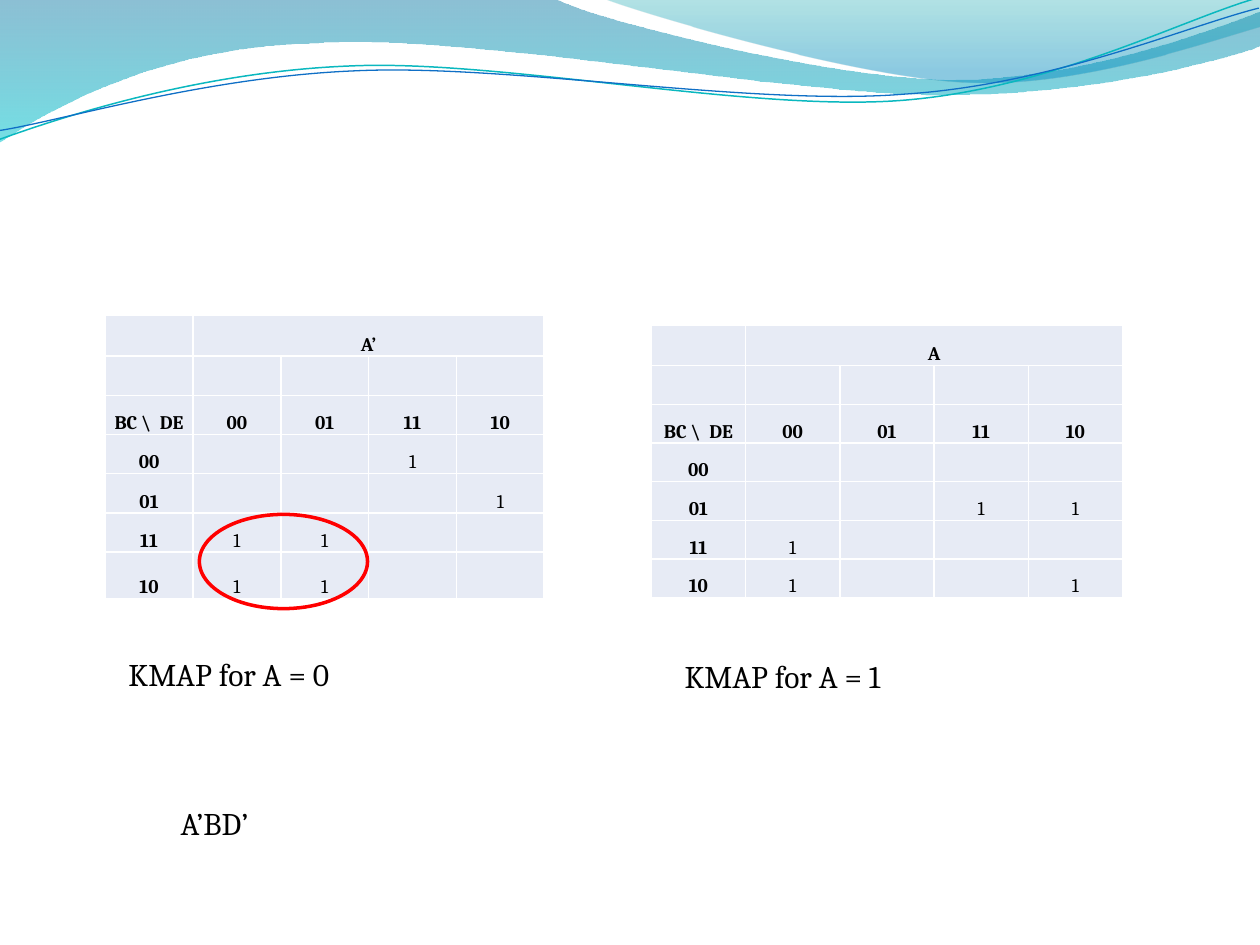
from dataclasses import dataclass

from lxml import etree
from pptx import Presentation
from pptx.dml.color import RGBColor
from pptx.enum.shapes import MSO_SHAPE
from pptx.enum.text import MSO_ANCHOR, MSO_AUTO_SIZE, PP_ALIGN
from pptx.oxml.ns import qn
from pptx.util import Cm, Pt

ELLIPSE = MSO_SHAPE.OVAL
BOTTOM = MSO_ANCHOR.BOTTOM
GROW = MSO_AUTO_SIZE.SHAPE_TO_FIT_TEXT
CENTER = PP_ALIGN.CENTER


@dataclass(frozen=True)
class Theme:
    font: str = "Cambria"
    cell_size: float = 11
    label_size: float = 18
    text: str = "000000"
    cell_fill: str = "E7EBF5"
    border: str = "FFFFFF"
    ring: str = "FF0000"
    teal_line: str = "0AB8BF"
    blue_line: str = "0F6FC6"
    # Gradient stops: position, colour, opacity in percent
    wide_wave: tuple = ((0, "0074A1", 45), (1, "00C6CF", 55))
    right_wave: tuple = ((0, "00A1A9", 30), (0.8, "008BBF", 45))


THEME = Theme()


def style_text(para, size, bold=False):
    para.font.name = THEME.font
    para.font.size = Pt(size)
    para.font.bold = bold
    para.font.color.rgb = RGBColor.from_string(THEME.text)


def add_wave(page, start, segments, closed):
    """Draw line (1 point) and cubic curve (3 points) segments, in tenths of the slide width."""
    unit = Cm(2.54)
    points = [(x * unit, y * unit) for segment in segments for x, y in segment]
    builder = page.shapes.build_freeform(start[0] * unit, start[1] * unit)
    builder.add_line_segments(points, close=closed)
    wave = builder.convert_to_shape()
    wave.shadow.inherit = False
    # Gather the three points of each curve into one cubic segment
    lines = iter(list(wave._element.iter(qn("a:lnTo"))))
    for segment in segments:
        first = next(lines)
        if len(segment) == 3:
            first.tag = qn("a:cubicBezTo")
            for _ in range(2):
                line = next(lines)
                first.append(line[0])
                line.getparent().remove(line)
    return wave


deck = Presentation()
deck.slide_width, deck.slide_height = Cm(25.4), Cm(19.05)
page = deck.slides.add_slide(deck.slide_layouts[6])

# Filled waves across the top
filled_waves = (
    (THEME.wide_wave, (0, 0), (
        ((4.4, -0.01),),
        ((4.76, 0.17), (6.64, 0.63), (7.58, 0.63)),
        ((8.53, 0.63), (9.58, 0.26), (10, 0.09)),
        ((10.01, 0.36),),
        ((9.83, 0.44), (8.7, 0.76), (7.46, 0.75)),
        ((6.22, 0.75), (3.82, 0.28), (2.57, 0.34)),
        ((1.29, 0.36), (0.46, 0.83), (-0.01, 1.13)),
        ((0, 0),))),
    (THEME.right_wave, (4.79, -0.01), (
        ((5.09, 0.11), (6.82, 0.62), (7.69, 0.65)),
        ((8.56, 0.69), (9.61, 0.32), (10, 0.21)),
        ((10, 0),),
        ((4.79, -0.01),))),
)
for stops, start, segments in filled_waves:
    wave = add_wave(page, start, segments, True)
    wave.line.fill.background()
    wave.fill.gradient()
    wave.fill.gradient_angle = 270
    for stop, (position, color, _) in zip(wave.fill.gradient_stops, stops):
        stop.position = position
        stop.color.rgb = RGBColor.from_string(color)
    colors = wave._element.spPr.findall(".//" + qn("a:srgbClr"))
    for node, (_, _, opacity) in zip(colors, stops):
        etree.SubElement(node, qn("a:alpha"), val=str(opacity * 1000))

# Thin wave lines, tilted slightly
wave_lines = (
    (THEME.teal_line, 0.85, (-0.02, 0.87), (
        ((0.47, 0.72), (1.58, 0.41), (2.78, 0.42)),
        ((3.96, 0.42), (5.91, 0.93), (7.12, 0.9)),
        ((8.32, 0.87), (9.4, 0.36), (10, 0.22)))),
    (THEME.blue_line, 0.75, (-0.02, 0.8), (
        ((0.46, 0.75), (1.64, 0.45), (2.83, 0.46)),
        ((4.03, 0.46), (5.96, 0.89), (7.16, 0.85)),
        ((8.35, 0.83), (9.42, 0.42), (10.01, 0.3)))),
)
for color, width, start, segments in wave_lines:
    wave = add_wave(page, start, segments, False)
    wave.rotation = 357.3
    wave.fill.background()
    wave.line.color.rgb = RGBColor.from_string(color)
    wave.line.width = Pt(width)

# Karnaugh maps: heading, left, top, column width, row heights, cells holding 1
GRAY_CODE = ("00", "01", "11", "10")
maps = (
    ("A’", 2.12, 6.36, 1.77, (0.82, *[0.79] * 5, 0.94),
     {("00", "11"), ("01", "10"), ("11", "00"), ("11", "01"), ("10", "00"), ("10", "01")}),
    ("A", 13.13, 6.56, 1.9, (0.81, *[0.78] * 6),
     {("01", "11"), ("01", "10"), ("11", "00"), ("10", "00"), ("10", "10")}),
)
for heading, left, top, column_width, heights, ones in maps:
    rows = [("", heading, "", "", ""), [""] * 5, ("BC \\  DE", *GRAY_CODE)]
    rows += [(bc, *("1" if (bc, de) in ones else "" for de in GRAY_CODE)) for bc in GRAY_CODE]
    table = page.shapes.add_table(len(rows), 5, Cm(left), Cm(top),
                                  Cm(5 * column_width), Cm(sum(heights))).table
    table.first_row = table.horz_banding = False
    for column in table.columns:
        column.width = Cm(column_width)
    for r, (row, height) in enumerate(zip(rows, heights)):
        table.rows[r].height = Cm(height)
        for c, text in enumerate(row):
            cell = table.cell(r, c)
            cell.margin_left = cell.margin_right = cell.margin_top = Cm(0.03)
            cell.margin_bottom = 0
            cell.vertical_anchor = BOTTOM
            cell.fill.solid()
            cell.fill.fore_color.rgb = RGBColor.from_string(THEME.cell_fill)
            para = cell.text_frame.paragraphs[0]
            if text:
                para.text = text
            para.alignment = CENTER
            style_text(para, THEME.cell_size, bold=r < 3 or c == 0)
            # Cell borders come before the fill
            for index, side in enumerate(("lnL", "lnR", "lnT", "lnB")):
                border = etree.Element(qn("a:" + side), w=str(Pt(1)))
                solid = etree.SubElement(border, qn("a:solidFill"))
                etree.SubElement(solid, qn("a:srgbClr"), val=THEME.border)
                cell._tc.get_or_add_tcPr().insert(index, border)
    table.cell(0, 1).merge(table.cell(0, 4))

# Captions and the resulting term
labels = (
    ("KMAP for A = 0", 2.34, 13.08, 8.89),
    ("KMAP for A = 1", 13.55, 13.12, 8.89),
    ("A’BD’", 3.39, 16.09, 18.2),
)
for text, left, top, width in labels:
    box = page.shapes.add_textbox(Cm(left), Cm(top), Cm(width), Cm(1.03))
    box.text_frame.word_wrap = True
    box.text_frame.auto_size = GROW
    para = box.text_frame.paragraphs[0]
    para.text = text
    style_text(para, THEME.label_size)

# Ring around the grouped cells
ring = page.shapes.add_shape(ELLIPSE, Cm(4.02), Cm(10.37), Cm(3.39), Cm(1.9))
ring.shadow.inherit = False
ring.fill.background()
ring.line.color.rgb = RGBColor.from_string(THEME.ring)
ring.line.width = Pt(2)

deck.save("out.pptx")
